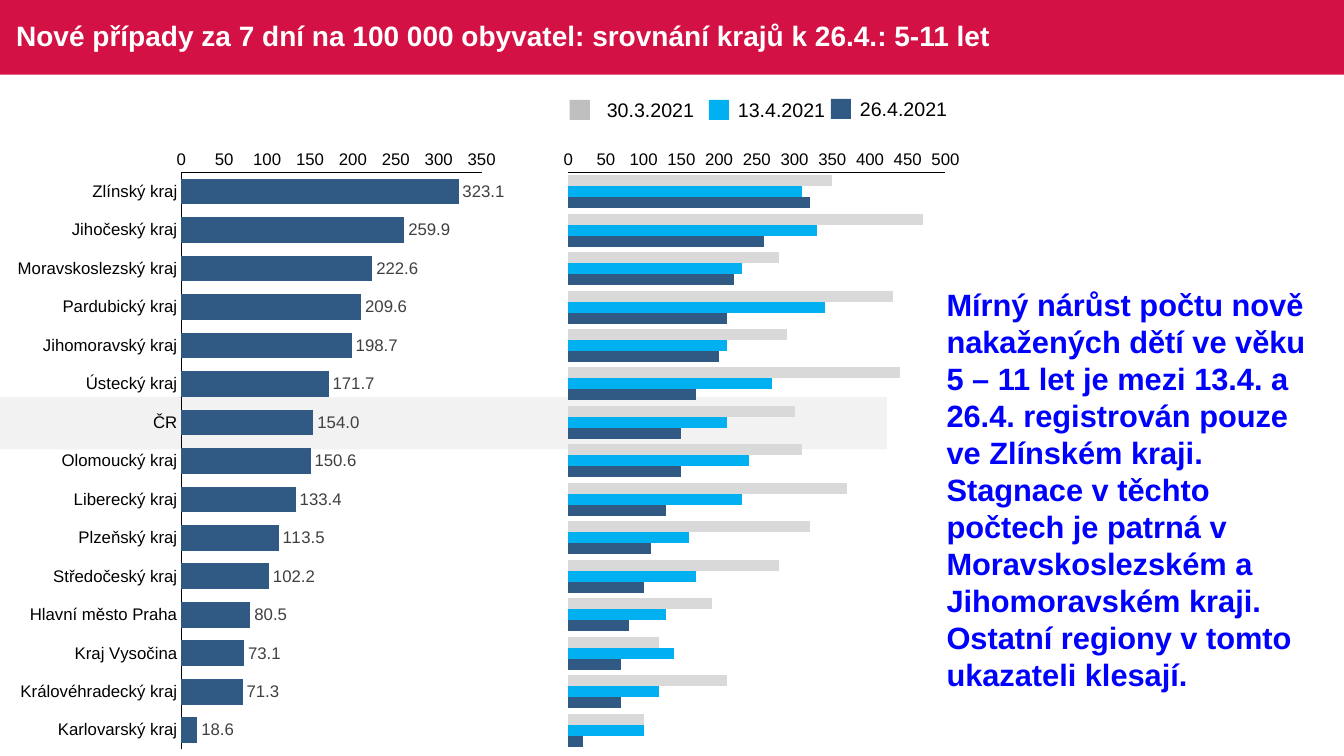
from dataclasses import dataclass

import pptx
import pptx.chart.chart
import pptx.chart.data
import pptx.dml.color
import pptx.enum.chart
import pptx.enum.shapes
import pptx.enum.text
import pptx.shapes.autoshape
import pptx.slide
import pptx.text.text
import pptx.util
from lxml import etree

SLIDE_WIDTH = pptx.util.Inches(13.33)
SLIDE_HEIGHT = pptx.util.Inches(7.5)


@dataclass(frozen=True)
class Theme:
    font: str = "Arial"
    band: str = "D31145"
    highlight: str = "F2F2F2"
    title: str = "FFFFFF"
    text: str = "000000"
    value: str = "404040"
    comment: str = "0000FF"
    march_key: str = "BFBFBF"
    march: str = "D9D9D9"
    mid_april: str = "00B0F0"
    late_april: str = "305983"
    title_size: int = 20
    comment_size: int = 22
    key_size: int = 14
    chart_size: int = 12


@dataclass(frozen=True)
class Area:
    """Left, top, width and height in percent of the slide."""
    left: float
    top: float
    width: float
    height: float

    def emu(self) -> tuple[int, int, int, int]:
        return (int(SLIDE_WIDTH * self.left / 100), int(SLIDE_HEIGHT * self.top / 100),
                int(SLIDE_WIDTH * self.width / 100), int(SLIDE_HEIGHT * self.height / 100))


@dataclass(frozen=True)
class Key:
    date: str
    color: str
    left: float
    label_left: float
    top: float


@dataclass(frozen=True)
class Series:
    color: str
    values: tuple[float, ...]


@dataclass(frozen=True)
class BarChart:
    area: Area
    plot: Area  # percent of the chart
    categories: tuple[str, ...]
    series: tuple[Series, ...]
    maximum: int
    labelled: bool


THEME = Theme()
BAND = Area(0, 0, 100, 9.87)
TITLE = Area(0.45, 0, 90.1, 9.87)
COUNTRY_ROW = Area(0, 52.53, 66, 6.93)
COMMENT = Area(69.69, 37.2, 29.33, 55.6)

REGIONS = (
    "Zlínský kraj", "Jihočeský kraj", "Moravskoslezský kraj", "Pardubický kraj",
    "Jihomoravský kraj", "Ústecký kraj", "ČR", "Olomoucký kraj", "Liberecký kraj",
    "Plzeňský kraj", "Středočeský kraj", "Hlavní město Praha", "Kraj Vysočina",
    "Královéhradecký kraj", "Karlovarský kraj",
)
TREND = BarChart(
    Area(41.34, 18.27, 30.68, 82.53), Area(3.06, 5.5, 91.5, 92.5),
    tuple(str(rank) for rank in range(1, len(REGIONS) + 1)),
    (
        Series(THEME.march, (350, 470, 280, 430, 290, 440, 300, 310, 370, 320, 280, 190, 120, 210, 100)),
        Series(THEME.mid_april, (310, 330, 230, 340, 210, 270, 210, 240, 230, 160, 170, 130, 140, 120, 100)),
        Series(THEME.late_april, (320, 260, 220, 210, 200, 170, 150, 150, 130, 110, 100, 80, 70, 70, 20)),
    ),
    500, False,
)
CURRENT = BarChart(
    Area(0.6, 18.27, 37.06, 82.53), Area(34.8, 5.5, 60.3, 92.5), REGIONS,
    (Series(THEME.late_april, (323.1, 259.9, 222.6, 209.6, 198.7, 171.7, 154, 150.6,
                               133.4, 113.5, 102.2, 80.5, 73.1, 71.3, 18.6)),),
    350, True,
)
KEYS = (
    Key("30.3.2021", THEME.march_key, 42.39, 44.41, 13.2),
    Key("13.4.2021", THEME.mid_april, 52.74, 54.16, 13.2),
    Key("26.4.2021", THEME.late_april, 61.82, 63.24, 13.07),
)


def rgb(color: str) -> pptx.dml.color.RGBColor:
    return pptx.dml.color.RGBColor.from_string(color)


def style_font(font: pptx.text.text.Font, size: int, color: str, bold: bool = False) -> None:
    font.name = THEME.font
    font.size = pptx.util.Pt(size)
    font.bold = bold
    font.color.rgb = rgb(color)


def add_run(frame: pptx.text.text.TextFrame, words: str, size: int, color: str, bold: bool = False) -> None:
    run = frame.paragraphs[0].add_run()
    run.text = words
    style_font(run.font, size, color, bold)


def add_block(slide: pptx.slide.Slide, area: Area, color: str) -> pptx.shapes.autoshape.Shape:
    block = slide.shapes.add_shape(pptx.enum.shapes.MSO_SHAPE.RECTANGLE, *area.emu())
    block.shadow.inherit = False
    block.fill.solid()
    block.fill.fore_color.rgb = rgb(color)
    block.line.fill.background()
    return block


def add_text(slide: pptx.slide.Slide, area: Area, words: str, size: int, color: str,
             bold: bool = False, wrap: bool = False) -> None:
    frame = slide.shapes.add_textbox(*area.emu()).text_frame
    frame.word_wrap = wrap
    frame.auto_size = pptx.enum.text.MSO_AUTO_SIZE.SHAPE_TO_FIT_TEXT
    add_run(frame, words, size, color, bold)


def add_title(slide: pptx.slide.Slide, words: str) -> None:
    title = slide.shapes.title
    title.left, title.top, title.width, title.height = TITLE.emu()
    frame = title.text_frame
    frame.auto_size = pptx.enum.text.MSO_AUTO_SIZE.NONE
    frame.vertical_anchor = pptx.enum.text.MSO_ANCHOR.MIDDLE
    frame.paragraphs[0].alignment = pptx.enum.text.PP_ALIGN.LEFT
    frame.paragraphs[0].line_spacing = 0.9
    add_run(frame, words, THEME.title_size, THEME.title, True)
    title.element.addprevious(add_block(slide, BAND, THEME.band).element)


def place_plot(chart: pptx.chart.chart.Chart, plot: Area) -> None:
    """Fix the inner plot area, which python-pptx leaves to automatic layout."""
    plot_area = chart.element.chart.plotArea
    namespace = etree.QName(plot_area).namespace
    for automatic in plot_area.findall(f"{{{namespace}}}layout"):
        plot_area.remove(automatic)
    layout = etree.Element(f"{{{namespace}}}layout")
    manual = etree.SubElement(layout, f"{{{namespace}}}manualLayout")
    settings = {"layoutTarget": "inner", "xMode": "edge", "yMode": "edge",
                "x": plot.left / 100, "y": plot.top / 100,
                "w": plot.width / 100, "h": plot.height / 100}
    for tag, value in settings.items():
        etree.SubElement(manual, f"{{{namespace}}}{tag}").set("val", str(value))
    plot_area.insert(0, layout)


def add_bars(slide: pptx.slide.Slide, bars: BarChart) -> None:
    data = pptx.chart.data.CategoryChartData()
    data.categories = bars.categories
    for number, series in enumerate(bars.series, 1):
        data.add_series(f"Series {number}", series.values)
    chart = slide.shapes.add_chart(
        pptx.enum.chart.XL_CHART_TYPE.BAR_CLUSTERED, *bars.area.emu(), data).chart
    chart.has_legend = chart.has_title = False
    style_font(chart.font, THEME.chart_size, THEME.text)
    for axis in (chart.category_axis, chart.value_axis):
        axis.has_major_gridlines = False
        axis.major_tick_mark = axis.minor_tick_mark = pptx.enum.chart.XL_TICK_MARK.NONE
        style_font(axis.tick_labels.font, THEME.chart_size, THEME.text)
        axis.format.line.color.rgb = rgb(THEME.text)
        axis.format.line.width = pptx.util.Pt(0.75)
    chart.category_axis.reverse_order = True
    chart.category_axis.visible = bars.labelled
    chart.value_axis.minimum_scale = 0
    chart.value_axis.maximum_scale = bars.maximum
    chart.value_axis.major_unit = 50
    plot = chart.plots[0]
    plot.gap_width = 50
    plot.vary_by_categories = False
    for drawn, series in zip(plot.series, bars.series):
        drawn.format.fill.solid()
        drawn.format.fill.fore_color.rgb = rgb(series.color)
    if bars.labelled:
        labels = plot.series[0].data_labels
        labels.show_value = True
        labels.number_format = "#,##0.0"
        labels.number_format_is_linked = False
        labels.position = pptx.enum.chart.XL_LABEL_POSITION.OUTSIDE_END
        style_font(labels.font, THEME.chart_size, THEME.value)
    place_plot(chart, bars.plot)


def main() -> None:
    deck = pptx.Presentation()
    deck.slide_width, deck.slide_height = SLIDE_WIDTH, SLIDE_HEIGHT
    slide = deck.slides.add_slide(deck.slide_layouts.get_by_name("Title Only"))
    add_title(slide, "Nové případy za 7 dní na 100 000 obyvatel: srovnání krajů k 26.4.: 5-11 let")
    add_block(slide, COUNTRY_ROW, THEME.highlight)
    for bars in (TREND, CURRENT):
        add_bars(slide, bars)
    for key in KEYS:
        add_block(slide, Area(key.left, key.top, 1.5, 2.67), key.color)
        add_text(slide, Area(key.label_left, key.top - 0.93, 8.03, 4.53), key.date, THEME.key_size, THEME.text)
    add_text(slide, COMMENT,
             "Mírný nárůst počtu nově nakažených dětí ve věku 5 – 11 let je mezi 13.4. a 26.4. "
             "registrován pouze ve Zlínském kraji. Stagnace v těchto počtech je patrná v "
             "Moravskoslezském a Jihomoravském kraji. Ostatní regiony v tomto ukazateli klesají.",
             THEME.comment_size, THEME.comment, bold=True, wrap=True)
    deck.save("out.pptx")


if __name__ == "__main__":
    main()
